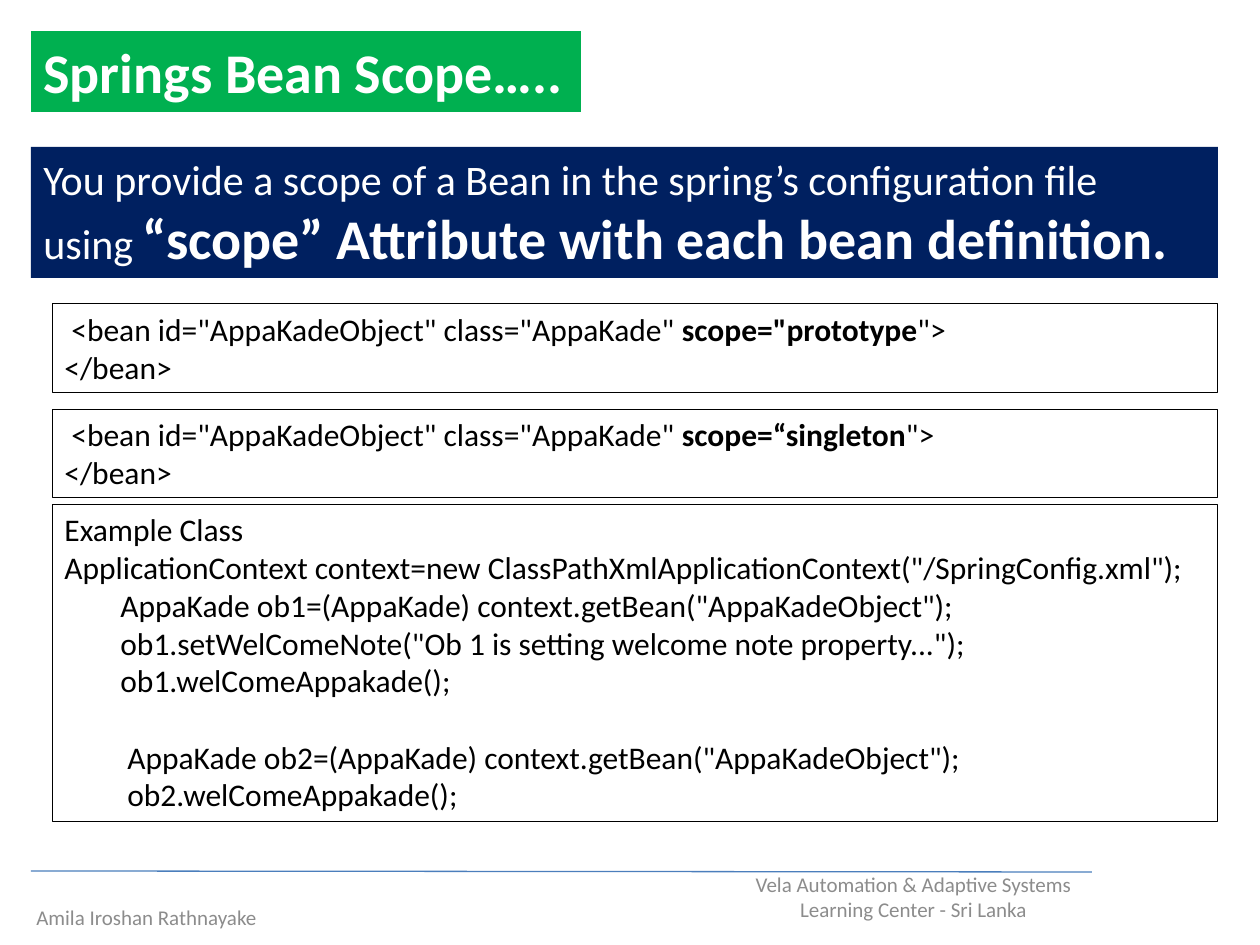
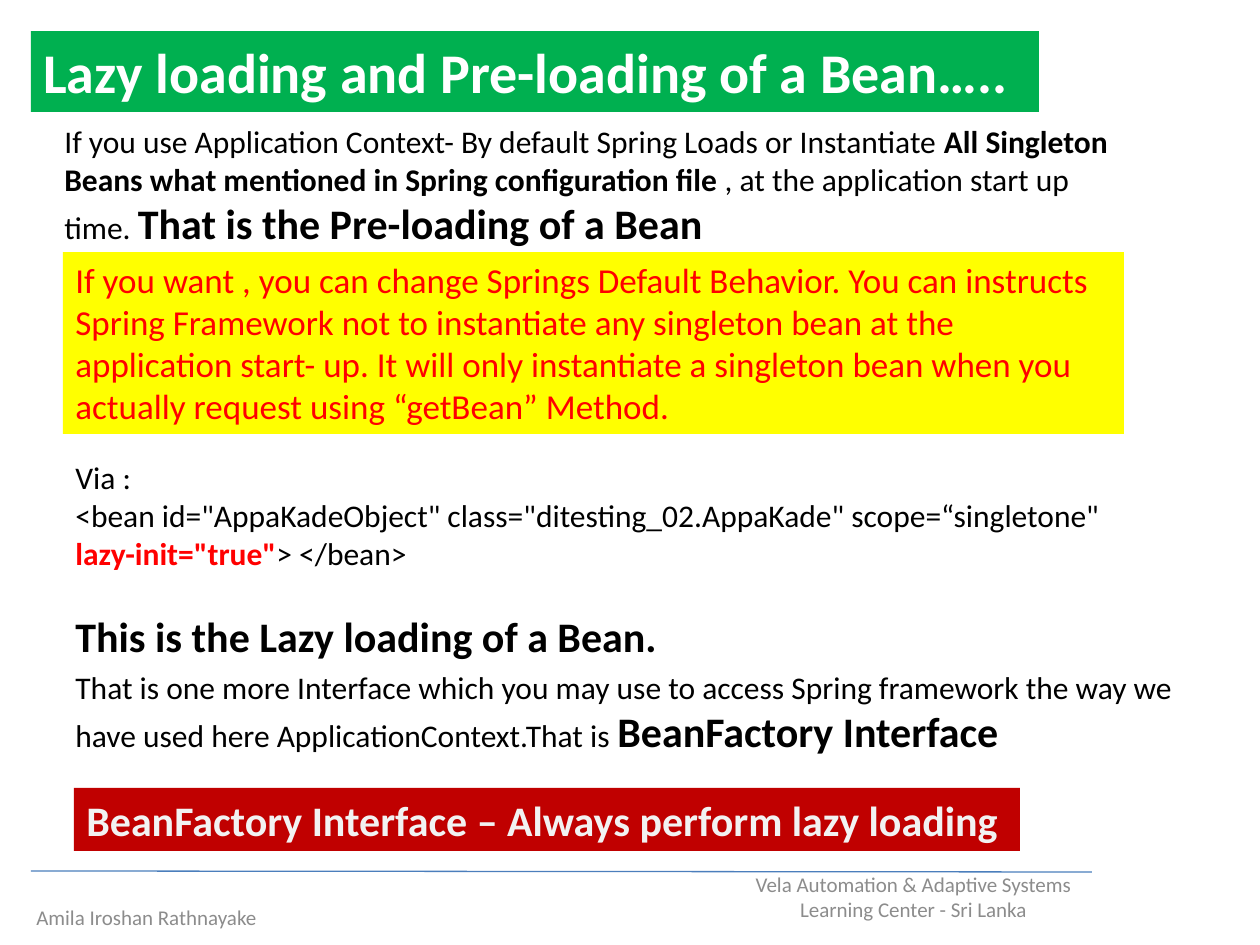
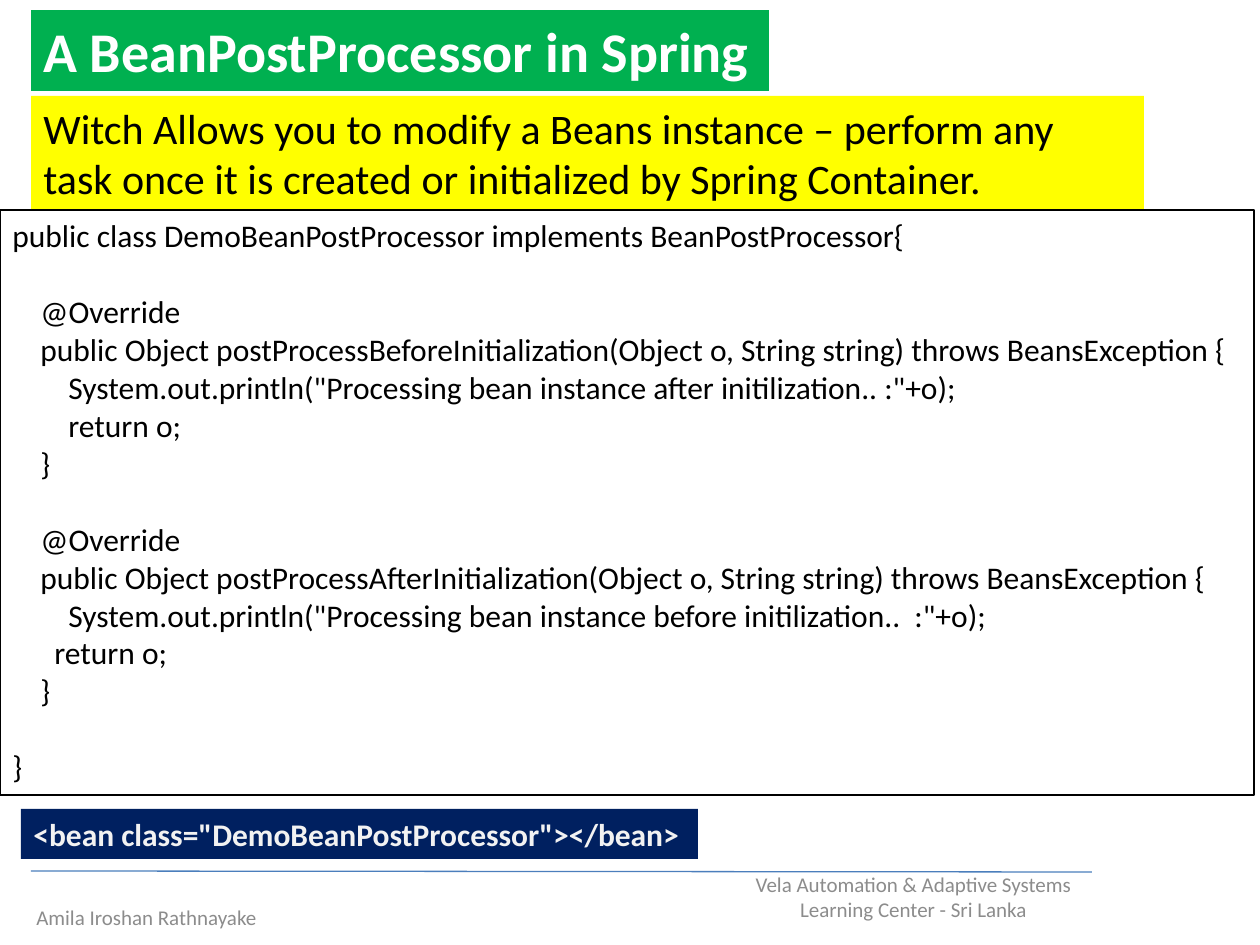
import dataclasses

import lxml.etree
import pptx
import pptx.dml.color
import pptx.enum.shapes
import pptx.enum.text
import pptx.oxml.ns
import pptx.util

SCALE = 914400 / 126  # EMU in one px
SLIDE_SIZE = (1260, 945)
FONT = "Calibri"
BLANK_LINE = 22  # points, one line of 18 pt code
SPACE_WIDTH = 7  # px, one space of 18 pt code
COLORS = {
    "title": "00B050",
    "navy": "002060",
    "yellow": "FFFF00",
    "crimson": "C00000",
    "red": "FF0000",
    "white": "FFFFFF",
    "pale": "F2F2F2",
    "black": "000000",
    "footer": "8C8C8C",
    "rule": "4B7EBC",
}


@dataclasses.dataclass
class Run:
    text: str
    size: int | None = None
    bold: bool | None = None
    color: str | None = None


@dataclasses.dataclass
class Line:
    """A paragraph: its runs, indent in spaces and blank space before in points."""
    runs: list
    indent: int = 0
    before: int = 0


def emu(px):
    return pptx.util.Emu(round(px * SCALE))


def rgb(name):
    return pptx.dml.color.RGBColor.from_string(COLORS[name])


def set_font(font, size=None, bold=None, color=None):
    if size is not None:
        font.size = pptx.util.Pt(size)
    if bold is not None:
        font.bold = bold
    if color is not None:
        font.color.rgb = rgb(color)


def write_lines(shape, lines, size, color, bold, align, anchor):
    frame = shape.text_frame
    frame.word_wrap = True
    frame.vertical_anchor = anchor
    for index, line in enumerate(lines):
        if isinstance(line, str):
            line = Line([Run(line)])
        paragraph = frame.paragraphs[0] if index == 0 else frame.add_paragraph()
        paragraph.alignment = align
        paragraph.font.name = FONT
        only = line.runs[0] if len(line.runs) == 1 else Run("")
        set_font(paragraph.font, only.size or size, only.bold or bold, only.color or color)
        if line.indent:
            properties = paragraph._p.get_or_add_pPr()
            properties.set("marL", str(emu(line.indent * SPACE_WIDTH)))
            properties.set("indent", "0")
        if line.before:
            paragraph.space_before = pptx.util.Pt(line.before)
        for part in line.runs:
            run = paragraph.add_run()
            run.text = part.text
            if len(line.runs) > 1:
                set_font(run.font, part.size, part.bold, part.color)


def add_panel(slide, box, lines, size=18, color="black", bold=False, fill=None,
              border=None, align=pptx.enum.text.PP_ALIGN.LEFT,
              anchor=pptx.enum.text.MSO_ANCHOR.TOP):
    """Text in a rectangle, or in a plain text box without fill and border."""
    bounds = [emu(px) for px in box]
    if fill or border:
        shape = slide.shapes.add_shape(pptx.enum.shapes.MSO_SHAPE.RECTANGLE, *bounds)
        shape.shadow.inherit = False
        if fill:
            shape.fill.solid()
            shape.fill.fore_color.rgb = rgb(fill)
        else:
            shape.fill.background()
        if border:
            shape.line.color.rgb = rgb("black")
            shape.line.width = pptx.util.Pt(border)
        else:
            shape.line.fill.background()
    else:
        shape = slide.shapes.add_textbox(*bounds)
    write_lines(shape, lines, size, color, bold, align, anchor)


def add_footer(slide):
    for box, text in (
        ((714, 872, 399, 50), "Vela Automation & Adaptive Systems Learning Center - Sri Lanka"),
        ((-53, 892, 399, 50), "Amila Iroshan Rathnayake"),
    ):
        add_panel(slide, box, [text], 12, "footer",
                  align=pptx.enum.text.PP_ALIGN.CENTER,
                  anchor=pptx.enum.text.MSO_ANCHOR.MIDDLE)
    rule = slide.shapes.add_connector(
        pptx.enum.shapes.MSO_CONNECTOR.STRAIGHT, emu(31), emu(871), emu(1092), emu(872))
    rule.line.color.rgb = rgb("rule")
    rule.line.width = pptx.util.Pt(0.75)
    lxml.etree.SubElement(rule._element.spPr, pptx.oxml.ns.qn("a:effectLst"))


def add_titled_slide(presentation, title, width, top=31):
    slide = presentation.slides.add_slide(presentation.slide_layouts[6])
    add_footer(slide)
    add_panel(slide, (31, top, width, 81), [title], 32, "white", True, "title")
    return slide


def build_scope_slide(presentation):
    slide = add_titled_slide(presentation, "Springs Bean Scope…..", 550)
    add_panel(slide, (31, 147, 1187, 131), [
        "You provide a scope of a Bean in the spring’s configuration file",
        Line([Run("using "),
              Run("“scope” Attribute with each bean definition.", 32, True)]),
    ], 24, "white", fill="navy")

    # Bean definitions, one for each scope
    left, width = 52, 1166
    for index, scope in enumerate(('scope="prototype', "scope=“singleton")):
        add_panel(slide, (left, 304 + index * 105, width, 89), [
            Line([Run('<bean id="AppaKadeObject" class="AppaKade" '),
                  Run(scope, bold=True), Run('">')], indent=1),
            "</bean>",
        ], fill="white", border=0.5)

    # Example class
    add_panel(slide, (left, 504, width, 318), [
        "Example Class",
        'ApplicationContext context=new ClassPathXmlApplicationContext("/SpringConfig.xml");',
        Line([Run('AppaKade ob1=(AppaKade) context.getBean("AppaKadeObject");')], 8),
        Line([Run('ob1.setWelComeNote("Ob 1 is setting welcome note property...");')], 8),
        Line([Run("ob1.welComeAppakade();")], 8),
        Line([Run('AppaKade ob2=(AppaKade) context.getBean("AppaKadeObject");')], 9, BLANK_LINE),
        Line([Run("ob2.welComeAppakade();")], 9),
    ], fill="white", border=0.5)


def build_loading_slide(presentation):
    slide = add_titled_slide(presentation, "Lazy loading and Pre-loading of a Bean…..", 1008)
    # Pre-loading
    add_panel(slide, (52, 116, 1092, 140), [Line([
        Run("If you use Application Context- By default Spring Loads or Instantiate "),
        Run("All Singleton Beans what mentioned in Spring configuration file", bold=True),
        Run(" , at the application start up time. "),
        Run("That is the Pre-loading of a Bean", 24, True),
    ])])
    add_panel(slide, (63, 252, 1061, 182), [
        "If you want , you can change Springs Default Behavior. You can instructs "
        "Spring Framework not to instantiate any singleton bean at the application "
        "start- up. It will only instantiate a singleton bean when you actually "
        "request using “getBean” Method.",
    ], 20, "red", fill="yellow")

    # Lazy loading
    add_panel(slide, (63, 452, 1071, 217), [
        "Via :",
        Line([Run('<bean id="AppaKadeObject" class="ditesting_02.AppaKade" scope=“singletone" '),
              Run('lazy-init="true"', bold=True, color="red"), Run("> </bean>")]),
        Line([Run("This is the Lazy loading of a Bean.", 24, True)], before=BLANK_LINE),
    ])
    add_panel(slide, (63, 662, 1143, 102), [
        "That is one more Interface which you may use to access Spring framework the way we",
        Line([Run("have used here ApplicationContext.That is "),
              Run("BeanFactory Interface", 24, True)]),
    ])
    add_panel(slide, (74, 788, 946, 63),
              ["BeanFactory Interface – Always perform lazy loading"],
              24, "pale", True, "crimson")


def override_method(moment, message, return_indent):
    return [
        Line([Run("@Override")], 4, BLANK_LINE),
        Line([Run(f"public Object postProcess{moment}Initialization"
                  "(Object o, String string) throws BeansException {")], 4),
        Line([Run(f'System.out.println("Processing bean instance {message}"+o);')], 8),
        Line([Run("return o;")], return_indent),
        Line([Run("}")], 4),
    ]


def build_processor_slide(presentation):
    slide = add_titled_slide(presentation, "A BeanPostProcessor in Spring", 738, top=10)
    add_panel(slide, (31, 96, 1113, 114), [
        "Witch Allows you to modify a Beans instance – perform any task once it is "
        "created or initialized by Spring Container.",
    ], 24, fill="yellow")
    add_panel(slide, (0, 210, 1254, 585), [
        "public class DemoBeanPostProcessor implements BeanPostProcessor{",
        *override_method("Before", "after initilization.. :", 8),
        *override_method("After", "before initilization..  :", 6),
        Line([Run("}")], before=BLANK_LINE),
    ], border=0.75)
    add_panel(slide, (21, 809, 677, 50), ['<bean class="DemoBeanPostProcessor"></bean>'],
              18, "pale", True, "navy")


def main():
    presentation = pptx.Presentation()
    presentation.slide_width, presentation.slide_height = map(emu, SLIDE_SIZE)
    build_scope_slide(presentation)
    build_loading_slide(presentation)
    build_processor_slide(presentation)
    presentation.save("out.pptx")


if __name__ == "__main__":
    main()
